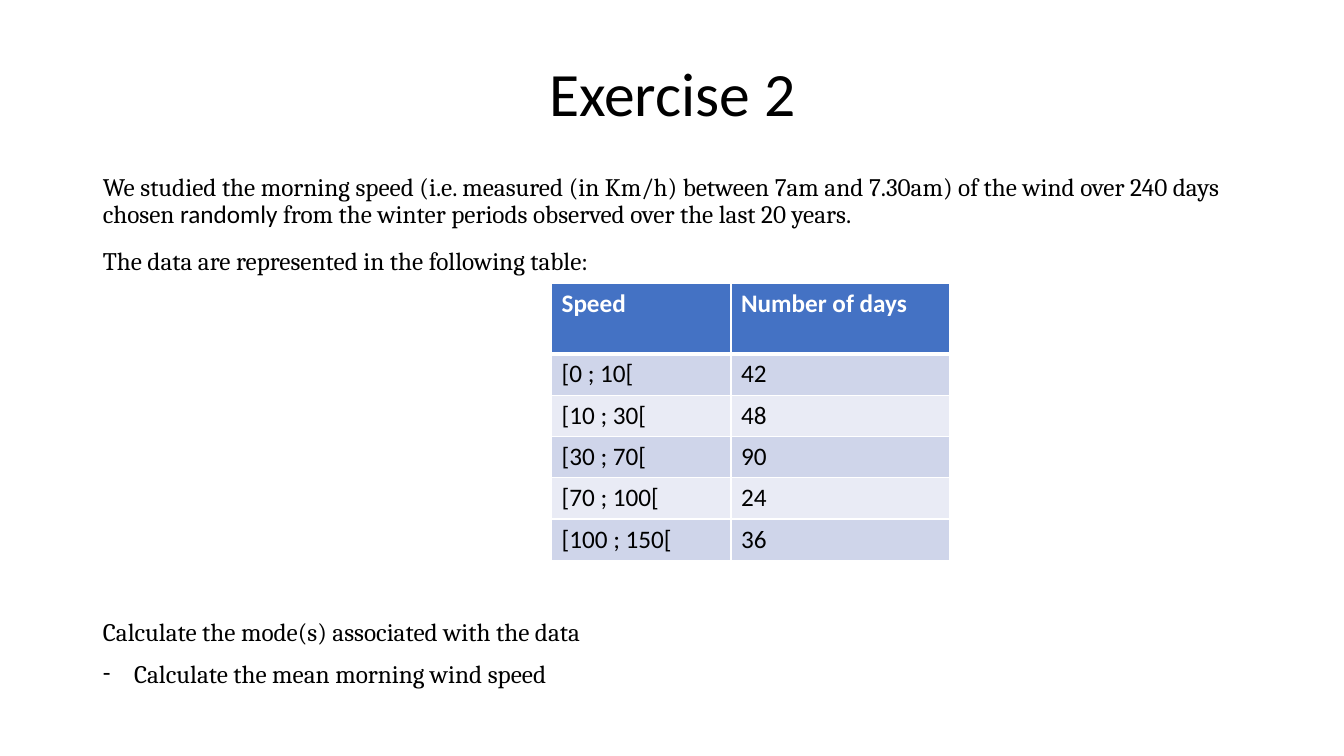
from lxml import etree
from pptx import Presentation
from pptx.dml.color import RGBColor
from pptx.enum.text import MSO_ANCHOR, MSO_AUTO_SIZE, PP_ALIGN
from pptx.oxml import parse_xml
from pptx.oxml.ns import nsdecls, qn
from pptx.util import Inches, Pt

INTRO = [
    ("We studied the morning speed (i.e. measured (in Km/h) between 7am and "
     "7.30am) of the wind over 240 days chosen ", "Cambria"),
    ("randomly", "Calibri"),
    (" from the winter periods observed over the last 20 years.", "Cambria"),
]
TABLE_LEAD = [("The data are represented in the following table:", "Cambria")]
MODE_TASK = [("Calculate the mode(s) associated with the data", "Cambria")]
MEAN_TASK = [("Calculate the mean morning wind speed", "Cambria")]
TABLE_GAP = 246  # points kept free for the table between the paragraphs

WIND_SPEEDS = [
    ("Speed", "Number of days"),
    ("[0 ; 10[", "42"),
    ("[10 ; 30[", "48"),
    ("[30 ; 70[", "90"),
    ("[70 ; 100[", "24"),
    ("[100 ; 150[", "36"),
]


def color(hex_value):
    return RGBColor.from_string(hex_value)


class ExerciseSlide:
    TEXT, WHITE, HEADER = "000000", "FFFFFF", "4472C4"
    BANDS = ("CFD5EA", "E9EBF5")
    SIZE = 18

    def __init__(self, deck):
        self.slide = deck.slides.add_slide(deck.slide_layouts[1])

    def style(self, font, name, size, hex_value, bold=False):
        font.name, font.size, font.bold = name, Pt(size), bold
        font.color.rgb = color(hex_value)

    def place(self, holder, left, top, width, height):
        holder.left, holder.top = Inches(left), Inches(top)
        holder.width, holder.height = Inches(width), Inches(height)
        holder.text_frame.auto_size = MSO_AUTO_SIZE.NONE
        return holder.text_frame

    def title(self, heading):
        frame = self.place(self.slide.shapes.title, 0.92, 0.23, 11.5, 1.45)
        frame.text = heading
        frame.vertical_anchor = MSO_ANCHOR.MIDDLE
        line = frame.paragraphs[0]
        line.alignment, line.line_spacing = PP_ALIGN.CENTER, 0.9
        self.style(line.runs[0].font, "Calibri", 44, self.TEXT)

    def body(self, paragraphs):
        """Fill the body from (runs, space before, bullet) entries."""
        frame = self.place(self.slide.placeholders[1], 0.92, 1.68, 11.5, 5.3)
        frame.vertical_anchor = MSO_ANCHOR.TOP
        for index, (runs, gap, bullet) in enumerate(paragraphs):
            paragraph = frame.add_paragraph() if index else frame.paragraphs[0]
            self.bullet(paragraph, bullet)
            paragraph.line_spacing, paragraph.space_before = 0.9, Pt(gap)
            for words, font_name in runs:
                run = paragraph.add_run()
                run.text = words
                self.style(run.font, font_name, self.SIZE, self.TEXT)

    def bullet(self, paragraph, mark):
        props = paragraph._p.get_or_add_pPr()
        indent = Inches(0.31) if mark else 0
        props.set("marL", str(indent))
        props.set("indent", str(-indent))
        if mark:
            etree.SubElement(props, qn("a:buFont")).set("typeface", "Calibri")
            etree.SubElement(props, qn("a:buChar")).set("char", mark)
        else:
            etree.SubElement(props, qn("a:buNone"))

    def border(self, cell, side, width):
        cell._tc.get_or_add_tcPr().append(parse_xml(
            f'<a:ln{side} {nsdecls("a")} w="{Pt(width)}"><a:solidFill>'
            f'<a:srgbClr val="{self.WHITE}"/></a:solidFill></a:ln{side}>'))

    def table(self, rows):
        widths, heights = (1.78, 2.17), [0.7] + [0.41] * (len(rows) - 1)
        grid = self.slide.shapes.add_table(
            len(rows), len(widths), Inches(5.47), Inches(2.81),
            Inches(sum(widths)), Inches(sum(heights))).table
        for column, width in zip(grid.columns, widths):
            column.width = Inches(width)
        for r, (values, height) in enumerate(zip(rows, heights)):
            grid.rows[r].height = Inches(height)
            header = r == 0
            for c, value in enumerate(values):
                cell = grid.cell(r, c)
                cell.text = value
                self.style(cell.text_frame.paragraphs[0].runs[0].font, "Calibri",
                           self.SIZE, self.WHITE if header else self.TEXT, header)
                for side in "LRTB":
                    under_header = (r, side) in ((0, "B"), (1, "T"))
                    self.border(cell, side, 3 if under_header else 1)
                cell.fill.solid()
                cell.fill.fore_color.rgb = color(
                    self.HEADER if header else self.BANDS[(r - 1) % 2])


def main():
    deck = Presentation()
    deck.slide_width, deck.slide_height = Inches(13.33), Inches(7.5)
    exercise = ExerciseSlide(deck)
    exercise.title("Exercise 2")
    exercise.body([
        (INTRO, 0, None),
        (TABLE_LEAD, 14, None),
        (MODE_TASK, TABLE_GAP, None),
        (MEAN_TASK, 10, "-"),
    ])
    exercise.table(WIND_SPEEDS)
    deck.save("out.pptx")


if __name__ == "__main__":
    main()
